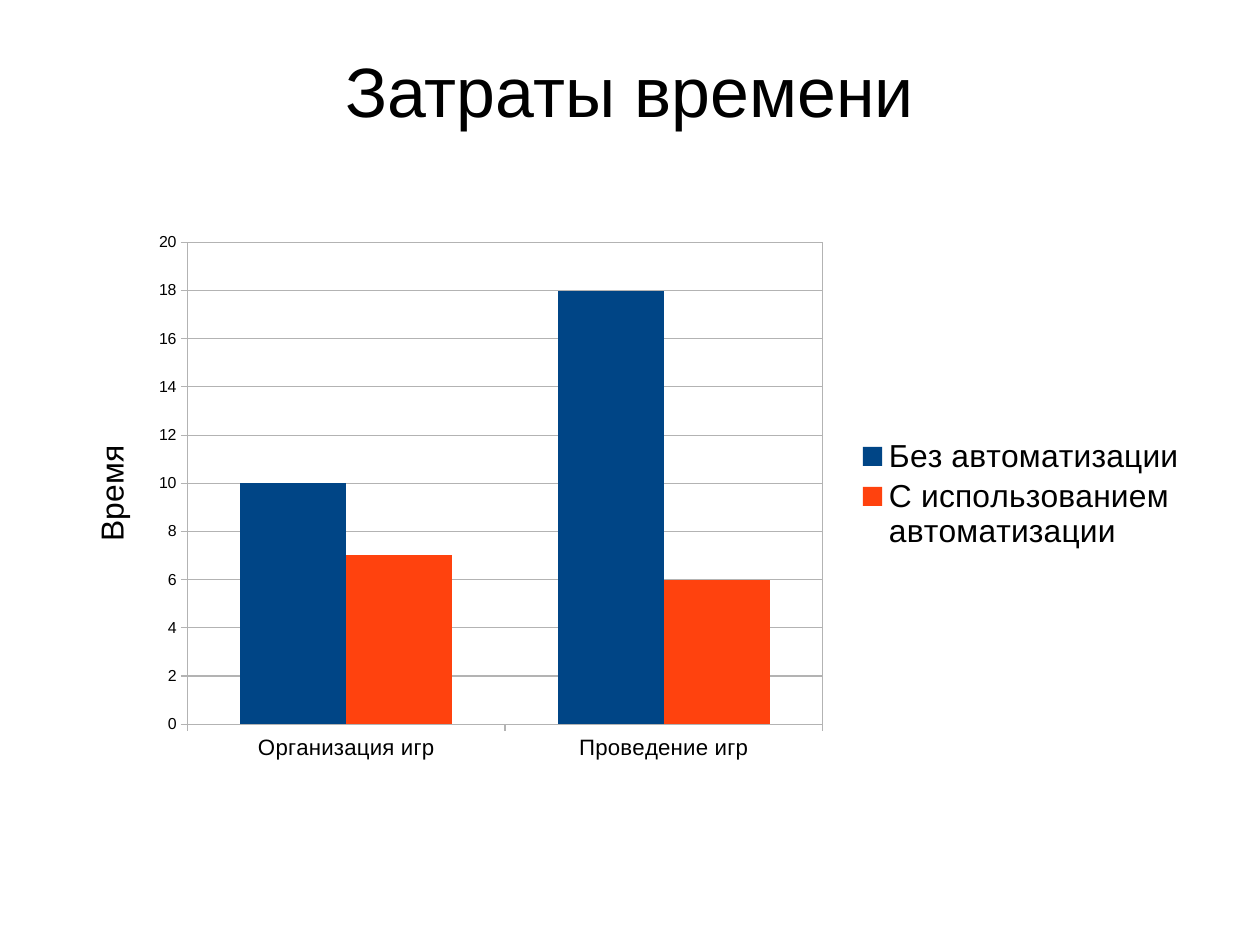
from dataclasses import dataclass

from lxml import etree
from pptx import Presentation
from pptx import util as u
from pptx.chart.data import CategoryChartData
from pptx.dml.color import RGBColor
from pptx.enum import chart as ch
from pptx.enum import text
from pptx.oxml import parse_xml
from pptx.oxml.ns import nsdecls, qn

FONT = "Arial"
COLOURS = {"text": "000000", "grid": "B3B3B3", "manual": "004586", "automated": "FF420E"}
CATEGORIES = ["Организация игр", "Проведение игр"]


@dataclass
class Series:
    name: str
    hours: list[int]
    colour: str


SERIES = [
    Series("Без автоматизации", [10, 18], "manual"),
    Series("С использованием автоматизации", [7, 6], "automated"),
]


def rgb(name: str) -> RGBColor:
    return RGBColor.from_string(COLOURS[name])


def style_font(font, size: int) -> None:
    font.name = FONT
    font.size = u.Pt(size)
    font.bold = False
    font.color.rgb = rgb("text")


def style_line(line) -> None:
    line.color.rgb = rgb("grid")
    line.width = u.Pt(0)


def place(element: etree._Element, **fractions: float) -> None:
    """Set a manual layout, in fractions of the chart, on a chart part."""
    old = element.find(qn("c:layout"))
    if old is not None:
        element.remove(old)
    target = '<c:layoutTarget val="inner"/>' if element.tag == qn("c:plotArea") else ""
    modes = "".join(f'<c:{key}Mode val="edge"/>' for key in fractions if key in "xy")
    values = "".join(f'<c:{key} val="{value}"/>' for key, value in fractions.items())
    layout = parse_xml(
        f'<c:layout {nsdecls("c")}><c:manualLayout>{target}{modes}{values}'
        "</c:manualLayout></c:layout>"
    )
    overlay = element.find(qn("c:overlay"))
    if overlay is None:
        element.insert(0, layout)
    else:
        overlay.addprevious(layout)


def add_title(s) -> None:
    title = s.shapes.title
    title.left, title.top = u.Inches(0.55), u.Inches(0.31)
    title.width, title.height = u.Inches(9.92), u.Inches(0.94)
    tf = title.text_frame
    tf.text = "Затраты времени"
    tf.margin_left = tf.margin_top = tf.margin_right = tf.margin_bottom = 0
    tf.vertical_anchor = text.MSO_ANCHOR.MIDDLE
    tf.auto_size = text.MSO_AUTO_SIZE.SHAPE_TO_FIT_TEXT
    p = tf.paragraphs[0]
    p.alignment = text.PP_ALIGN.CENTER
    style_font(p.runs[0].font, 44)


def style_axes(chart) -> None:
    for axis, size in ((chart.category_axis, 14), (chart.value_axis, 10)):
        axis.major_tick_mark = ch.XL_TICK_MARK.OUTSIDE
        axis.minor_tick_mark = ch.XL_TICK_MARK.NONE
        style_font(axis.tick_labels.font, size)
        style_line(axis.format.line)

    value_axis = chart.value_axis
    value_axis.minimum_scale, value_axis.maximum_scale = 0, 20
    value_axis.major_unit = 2
    value_axis.has_major_gridlines = True
    style_line(value_axis.major_gridlines.format.line)

    axis_title = value_axis.axis_title
    tf = axis_title.text_frame
    tf.text = "Время"
    style_font(tf.paragraphs[0].runs[0].font, 20)
    body = tf._txBody.find(qn("a:bodyPr"))
    body.set("rot", "-5400000")
    body.set("vert", "horz")
    place(axis_title._element, x=0.02, y=0.4)


def add_time_chart(s) -> None:
    data = CategoryChartData()
    data.categories = CATEGORIES
    for item in SERIES:
        data.add_series(item.name, item.hours)
    chart = s.shapes.add_chart(
        ch.XL_CHART_TYPE.COLUMN_CLUSTERED,
        u.Inches(0.55), u.Inches(1.93), u.Inches(9.92), u.Inches(4.79), data,
    ).chart
    chart.has_title = False
    style_font(chart.font, 10)
    style_axes(chart)

    plot = chart.plots[0]
    plot.gap_width, plot.overlap = 100, 0
    plot.vary_by_categories = False
    for series, item in zip(plot.series, SERIES):
        series.format.fill.solid()
        series.format.fill.fore_color.rgb = rgb(item.colour)
        series.format.line.fill.background()

    chart.has_legend = True
    legend = chart.legend
    legend.position = ch.XL_LEGEND_POSITION.RIGHT
    legend.include_in_layout = False
    style_font(legend.font, 20)
    place(legend._element, x=0.7, y=0.39, w=0.29, h=0.22)

    plot_area = chart._chartSpace.chart.plotArea
    place(plot_area, x=0.11, y=0.04, w=0.56, h=0.88)
    plot_area.append(parse_xml(
        f'<c:spPr {nsdecls("c", "a")}><a:noFill/><a:ln w="0"><a:solidFill>'
        f'<a:srgbClr val="{COLOURS["grid"]}"/></a:solidFill></a:ln></c:spPr>'
    ))


def main() -> None:
    prs = Presentation()
    prs.slide_width, prs.slide_height = u.Cm(28), u.Cm(21)
    s = prs.slides.add_slide(prs.slide_layouts[5])
    add_time_chart(s)
    add_title(s)
    prs.save("out.pptx")


if __name__ == "__main__":
    main()
